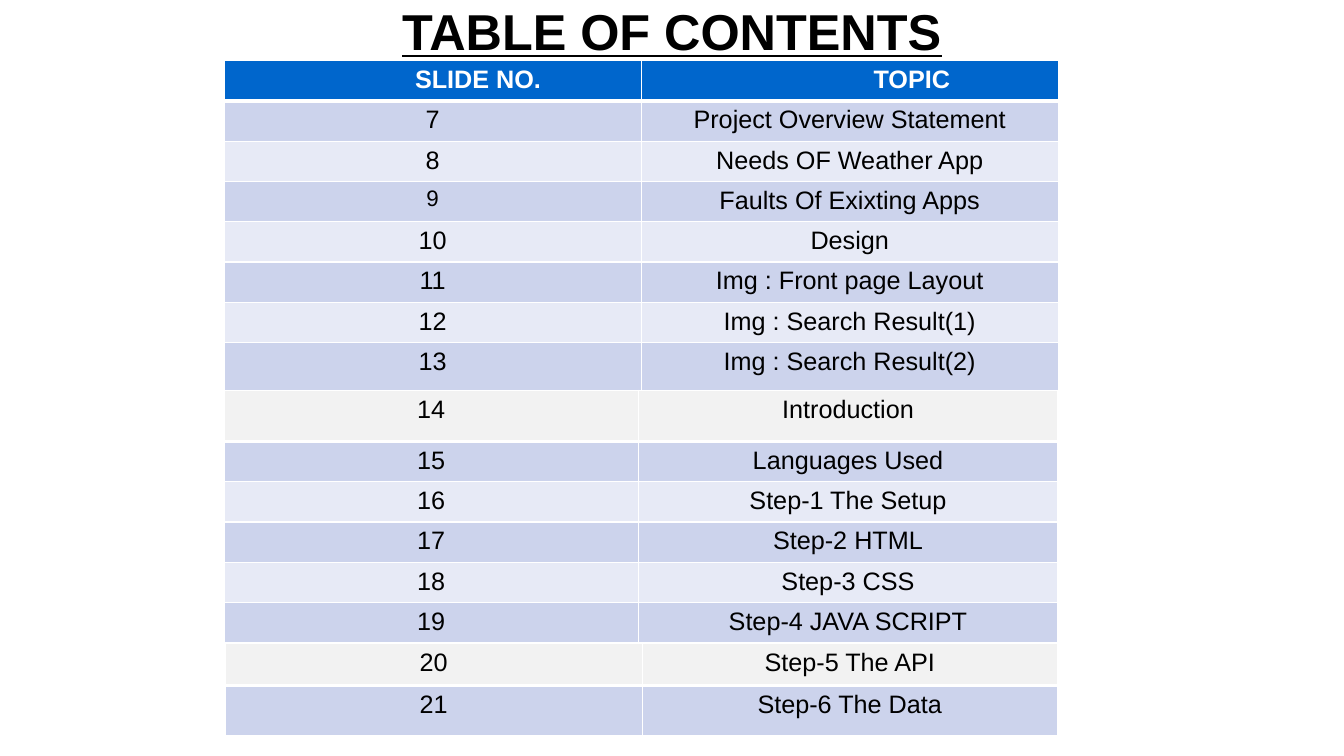
from lxml.etree import SubElement
from pptx import Presentation
from pptx.dml.color import RGBColor
from pptx.enum.text import MSO_ANCHOR, MSO_AUTO_SIZE, PP_ALIGN
from pptx.oxml.ns import qn
from pptx.util import Pt


def color(hex_string):
    return RGBColor.from_string(hex_string)


def style_text(paragraph, ink, **formats):
    for attribute, setting in {"name": "Arial", "size": Pt(18), "bold": False, **formats}.items():
        setattr(paragraph.font, attribute, setting)
    paragraph.font.color.rgb = color(ink)


BLUE, GRAY, DARK_BAND, LIGHT_BAND = "0066CC", "F2F2F2", "CCD3EC", "E7EAF6"
WHITE, BLACK = "FFFFFF", "000000"
ROW = 28.8

sections = [
    {
        "left": 160, "top": 43.2, "widths": [298, 298],
        "heights": [ROW] * 7 + [50.4], "lead_fill": BLUE,
        "entries": [
            ("SLIDE NO.", "TOPIC"),
            ("7", "Project Overview Statement"),
            ("8", "Needs OF Weather App"),
            ("9", "Faults Of Exixting Apps"),
            ("10", "Design"),
            ("11", "Img : Front page Layout"),
            ("12", "Img : Search Result(1)"),
            ("13", "Img : Search Result(2)"),
        ],
    },
    {
        "left": 160, "top": 278.8, "widths": [296, 299.5],
        "heights": [36.5] + [ROW] * 5, "lead_fill": GRAY,
        "entries": [
            ("14", "Introduction"),
            ("15", "Languages Used"),
            ("16", "Step-1 The Setup"),
            ("17", "Step-2 HTML"),
            ("18", "Step-3 CSS"),
            ("19", "Step-4 JAVA SCRIPT"),
        ],
    },
    {
        "left": 160.7, "top": 459.4, "widths": [298, 296.7],
        "heights": [30.3, 36], "lead_fill": GRAY,
        "entries": [("20", "Step-5 The API"), ("21", "Step-6 The Data")],
    },
]
header_indents = [136.5, 166]

deck = Presentation()
deck.slide_width, deck.slide_height = Pt(960), Pt(540)
contents = deck.slides.add_slide(deck.slide_layouts[5])

heading = contents.shapes.title
heading.left, heading.top, heading.width, heading.height = Pt(66), Pt(0), Pt(828), Pt(43.2)
heading.text_frame.text = "TABLE OF CONTENTS"
heading.text_frame.auto_size = MSO_AUTO_SIZE.NONE
heading.text_frame.vertical_anchor = MSO_ANCHOR.MIDDLE
heading.text_frame.paragraphs[0].alignment = PP_ALIGN.CENTER
style_text(heading.text_frame.paragraphs[0], BLACK, size=Pt(36), bold=True, underline=True)

for section in sections:
    entries, widths, heights = section["entries"], section["widths"], section["heights"]
    listing = contents.shapes.add_table(
        len(entries), 2, Pt(section["left"]), Pt(section["top"]),
        Pt(sum(widths)), Pt(sum(heights))).table
    listing.first_row = listing.horz_banding = False
    for column, width in zip(listing.columns, widths):
        column.width = Pt(width)
    for row, height in zip(listing.rows, heights):
        row.height = Pt(height)

    for line, entry in enumerate(entries):
        band = section["lead_fill"] if line == 0 else DARK_BAND if line % 2 else LIGHT_BAND
        is_header = band == BLUE
        for position, wording in enumerate(entry):
            cell = listing.cell(line, position)
            cell.text = wording
            paragraph = cell.text_frame.paragraphs[0]
            if is_header:
                cell.margin_left = Pt(header_indents[position])
                paragraph.alignment = PP_ALIGN.LEFT
            else:
                paragraph.alignment = PP_ALIGN.CENTER
            style_text(paragraph, WHITE if is_header else BLACK,
                       bold=is_header, size=Pt(16 if wording == "9" else 18))

            properties = cell._tc.get_or_add_tcPr()
            for side in ("lnL", "lnR", "lnT", "lnB"):
                thickness = 3 if line == 0 and side == "lnB" else 1
                border = SubElement(properties, qn(f"a:{side}"), w=str(Pt(thickness)))
                SubElement(SubElement(border, qn("a:solidFill")), qn("a:srgbClr"), val=WHITE)
            cell.fill.solid()
            cell.fill.fore_color.rgb = color(band)

deck.save("out.pptx")
